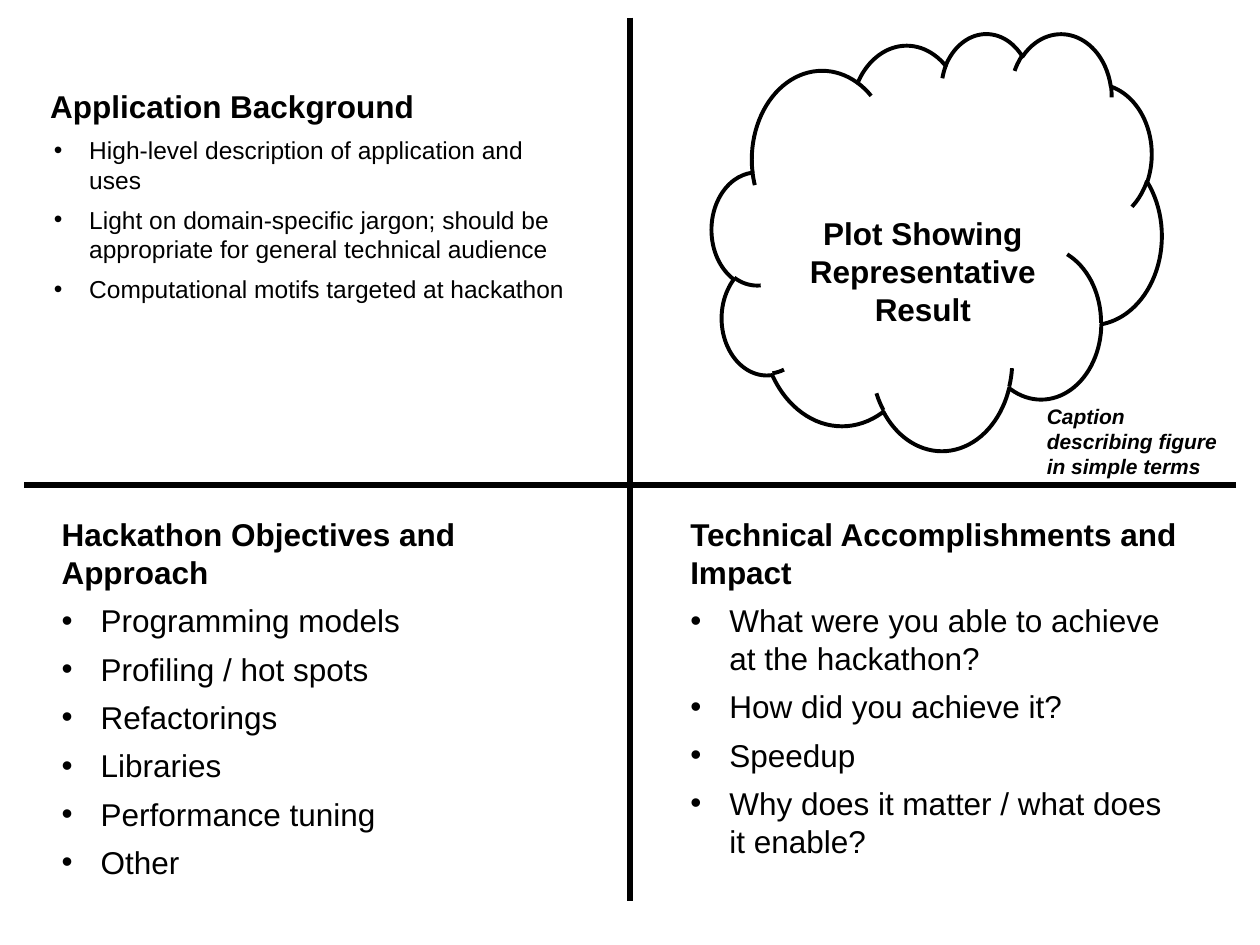
from dataclasses import dataclass

from lxml.etree import SubElement
from pptx import Presentation
from pptx.dml.color import RGBColor
from pptx.enum.shapes import MSO_CONNECTOR, MSO_SHAPE
from pptx.enum.text import MSO_AUTO_SIZE, PP_ALIGN
from pptx.oxml.ns import qn
from pptx.slide import Slide
from pptx.text.text import _Paragraph as Paragraph
from pptx.util import Emu, Inches, Pt

SLIDE_WIDTH, SLIDE_HEIGHT = Inches(10), Inches(7.5)
COLUMNS, ROWS = 100, 75


@dataclass(frozen=True)
class Theme:
    font: str = "Arial"
    ink: RGBColor = RGBColor(0, 0, 0)
    paper: RGBColor = RGBColor(255, 255, 255)
    heading_size: float = 18
    compact_size: float = 14
    caption_size: float = 12
    bullet_gap: float = 6
    divider_width: float = 3
    cloud_width: float = 2.25


THEME = Theme()


@dataclass(frozen=True)
class Area:
    """A rectangle in grid columns and rows."""
    column: float
    row: float
    columns: float
    rows: float

    def lengths(self) -> tuple[Emu, Emu, Emu, Emu]:
        return (across(self.column), down(self.row),
                across(self.columns), down(self.rows))


@dataclass(frozen=True)
class Label:
    text: str
    area: Area
    size: float = THEME.heading_size
    italic: bool = False
    alignment: PP_ALIGN = PP_ALIGN.LEFT


@dataclass(frozen=True)
class Quadrant:
    heading: Label
    bullets: tuple[str, ...]
    bullet_size: float = THEME.heading_size
    hanging: float = 3.1


@dataclass(frozen=True)
class Divider:
    start: tuple[float, float]
    end: tuple[float, float]


DIVIDERS = (
    Divider((50, 1.4), (50, 71.5)),
    Divider((98.1, 38.5), (1.9, 38.5)),
)
CLOUD = Area(56.5, 2.6, 35.7, 33.1)
LABELS = (
    Label("Plot Showing Representative Result", Area(62.1, 16.5, 22.3, 10.1),
          alignment=PP_ALIGN.CENTER),
    Label("Caption describing figure in simple terms", Area(82.1, 31.5, 17, 7.1),
          size=THEME.caption_size, italic=True),
)
QUADRANTS = (
    Quadrant(
        Label("Application Background", Area(3, 6.4, 42.9, 21.5)),
        ("High-level description of application and uses",
         "Light on domain-specific jargon; should be appropriate for general "
         "technical audience",
         "Computational motifs targeted at hackathon"),
        bullet_size=THEME.compact_size, hanging=2.8),
    Quadrant(
        Label("Hackathon Objectives and Approach", Area(3.9, 40.4, 41.1, 30.3)),
        ("Programming models", "Profiling / hot spots", "Refactorings",
         "Libraries", "Performance tuning", "Other")),
    Quadrant(
        Label("Technical Accomplishments and Impact", Area(53.8, 40.4, 41.1, 28.6)),
        ("What were you able to achieve at the hackathon?",
         "How did you achieve it?", "Speedup",
         "Why does it matter / what does it enable?")),
)


def across(columns: float) -> Emu:
    return Emu(round(SLIDE_WIDTH * columns / COLUMNS))


def down(rows: float) -> Emu:
    return Emu(round(SLIDE_HEIGHT * rows / ROWS))


def write(paragraph: Paragraph, text: str, size: float,
          bold: bool = False, italic: bool = False) -> None:
    paragraph.text = text
    for run in paragraph.runs:
        font = run.font
        font.name, font.size = THEME.font, Pt(size)
        font.bold, font.italic = bold, italic
        font.color.rgb = THEME.ink


def add_bullet(paragraph: Paragraph, hanging: float) -> None:
    paragraph.space_before = Pt(THEME.bullet_gap)
    properties = paragraph._p.get_or_add_pPr()
    properties.set("marL", str(across(3.1)))
    properties.set("indent", str(-across(hanging)))
    SubElement(properties, qn("a:buFont"), typeface=THEME.font)
    SubElement(properties, qn("a:buChar"), char="•")


def draw_label(slide: Slide, label: Label):
    """Draw a bold text box and return its text frame."""
    text_frame = slide.shapes.add_textbox(*label.area.lengths()).text_frame
    text_frame.word_wrap = True
    text_frame.auto_size = MSO_AUTO_SIZE.SHAPE_TO_FIT_TEXT
    paragraph = text_frame.paragraphs[0]
    paragraph.alignment = label.alignment
    write(paragraph, label.text, label.size, bold=True, italic=label.italic)
    return text_frame


def draw_quadrant(slide: Slide, quadrant: Quadrant) -> None:
    text_frame = draw_label(slide, quadrant.heading)
    for bullet in quadrant.bullets:
        paragraph = text_frame.add_paragraph()
        write(paragraph, bullet, quadrant.bullet_size)
        add_bullet(paragraph, quadrant.hanging)


def draw_divider(slide: Slide, divider: Divider) -> None:
    (start_column, start_row), (end_column, end_row) = divider.start, divider.end
    connector = slide.shapes.add_connector(
        MSO_CONNECTOR.STRAIGHT, across(start_column), down(start_row),
        across(end_column), down(end_row))
    connector.line.color.rgb = THEME.ink
    connector.line.width = Pt(THEME.divider_width)
    SubElement(connector._element.spPr, qn("a:effectLst"))


def draw_cloud(slide: Slide, area: Area) -> None:
    cloud = slide.shapes.add_shape(MSO_SHAPE.CLOUD, *area.lengths())
    cloud.shadow.inherit = False
    cloud.fill.solid()
    cloud.fill.fore_color.rgb = THEME.paper
    cloud.line.color.rgb = THEME.ink
    cloud.line.width = Pt(THEME.cloud_width)


def main() -> None:
    presentation = Presentation()
    presentation.slide_width, presentation.slide_height = SLIDE_WIDTH, SLIDE_HEIGHT
    slide = presentation.slides.add_slide(presentation.slide_layouts[6])
    for divider in DIVIDERS:
        draw_divider(slide, divider)
    draw_cloud(slide, CLOUD)
    for label in LABELS:
        draw_label(slide, label)
    for quadrant in QUADRANTS:
        draw_quadrant(slide, quadrant)
    presentation.save("out.pptx")


if __name__ == "__main__":
    main()
